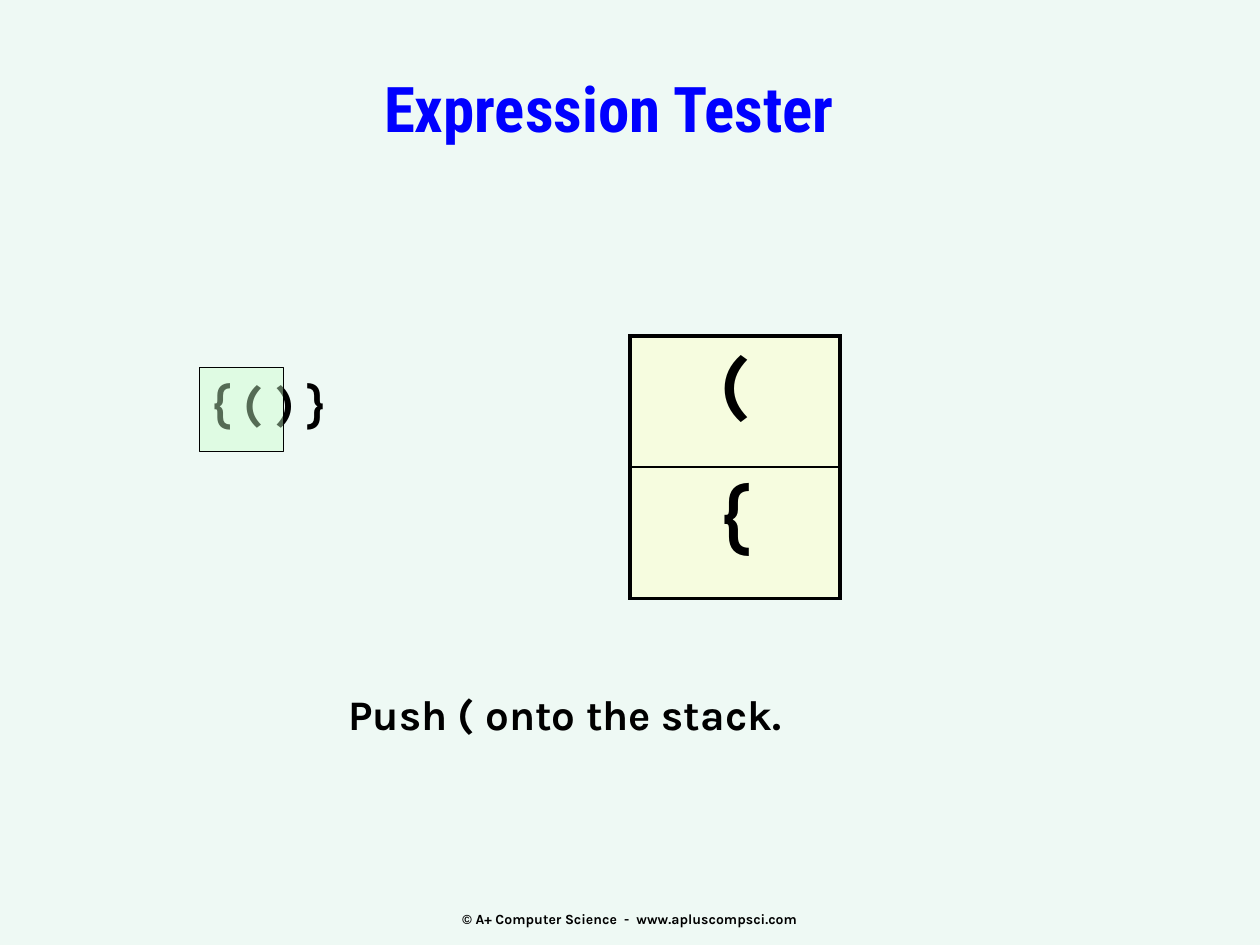
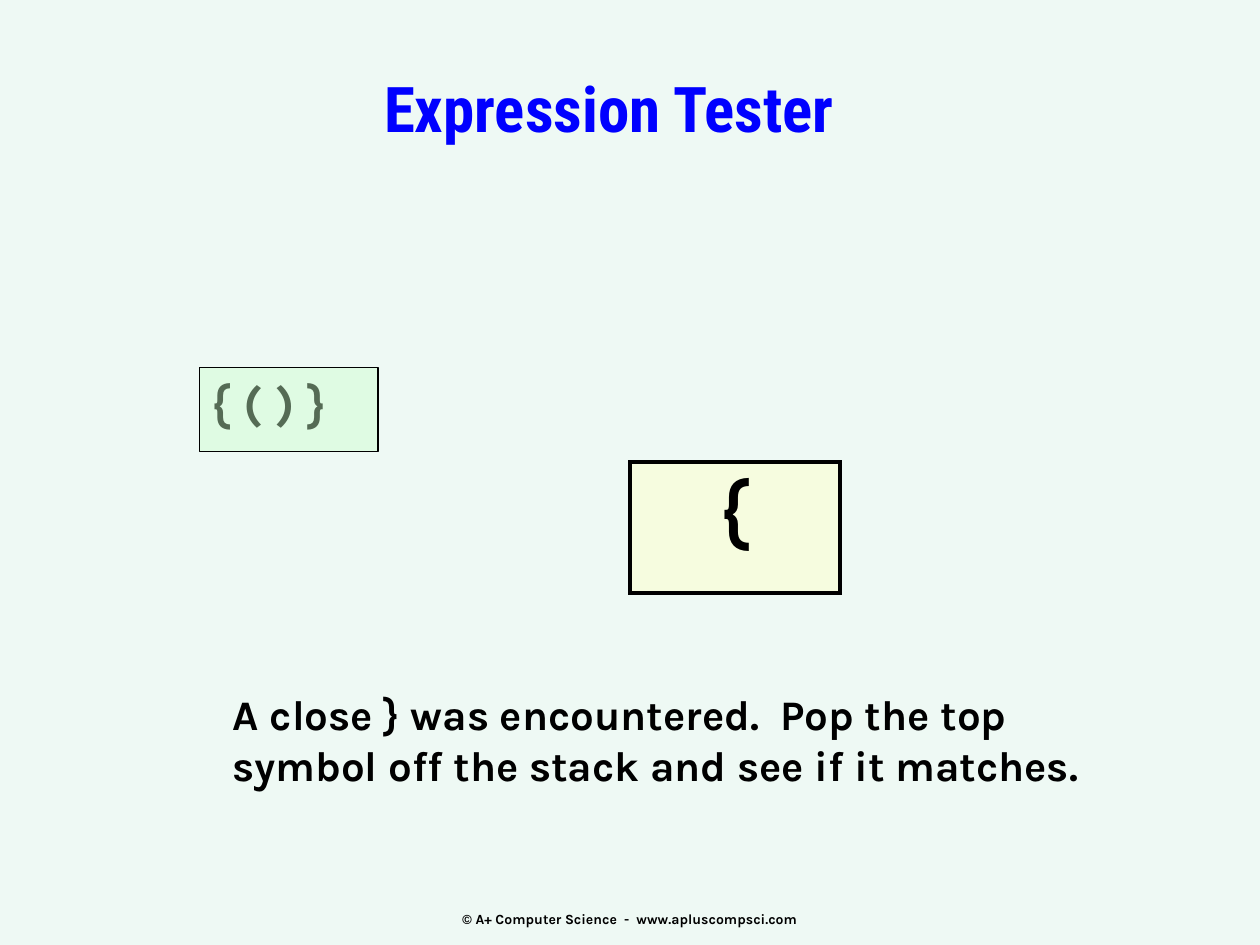
from lxml import etree
from pptx import Presentation
from pptx.dml.color import RGBColor
from pptx.enum.shapes import MSO_SHAPE
from pptx.enum.text import MSO_ANCHOR, PP_ALIGN
from pptx.oxml.ns import qn
from pptx.util import Pt

LEFT, CENTER = PP_ALIGN.LEFT, PP_ALIGN.CENTER
MIDDLE, TOP = MSO_ANCHOR.MIDDLE, MSO_ANCHOR.TOP
RECT = MSO_SHAPE.RECTANGLE

BODY_FONT, TITLE_FONT = "Karla", "Roboto Condensed"
BACKGROUND, INK, BLUE = "EEF9F4", "000000", "0000FF"
TITLE_EDGE, GREEN, YELLOW = "CCFFFF", "CCFFCC", "FFFFCC"

TITLE = "Expression Tester"
FOOTER = "© A+ Computer Science  -  www.apluscompsci.com"
EXPRESSION = "{ ( ) }"
STEPS = [
    {"read_width": 48, "stack": ["(", "{"], "stack_top": 192,
     "note": ["Push ( onto the stack."], "note_box": (192, 390, 294, 36)},
    {"read_width": 102, "stack": ["{"], "stack_top": 264,
     "note": ["A close } was encountered.  Pop the top",
              "symbol off the stack and see if it matches."],
     "note_box": (126, 390, 528, 65)},
]
EXPRESSION_LEFT, EXPRESSION_TOP = 114, 210
STACK_LEFT, STACK_WIDTH, CELL_HEIGHT = 360, 120, 75
OUTER_LINE, INNER_LINE = 2.25, 1


def color(hex_code):
    return RGBColor.from_string(hex_code)


def pts(*lengths):
    return [Pt(n) for n in lengths]


def fill_solid(fill, hex_code, opacity):
    fill.solid()
    fill.fore_color.rgb = color(hex_code)
    clr = fill._xPr.find(qn("a:solidFill"))[0]
    etree.SubElement(clr, qn("a:alpha"), val=str(opacity * 1000))


def line_xml(tag, hex_code, width):
    ln = etree.Element(qn(tag), w=str(Pt(width)))
    solid = etree.SubElement(ln, qn("a:solidFill"))
    etree.SubElement(solid, qn("a:srgbClr"), val=hex_code)
    return ln


def write(tf, lines, size, align=LEFT, font=BODY_FONT, hex_code=INK):
    p = tf.paragraphs[0]
    p.alignment = align
    for i, line in enumerate(lines):
        if i:
            p.add_line_break()
        r = p.add_run()
        r.text = line
        r.font.name, r.font.size, r.font.bold = font, Pt(size), True
        r.font.color.rgb = color(hex_code)
    return r


def add_text(s, box, lines, size, wrap=True, anchor=TOP, **style):
    tf = s.shapes.add_textbox(*pts(*box)).text_frame
    tf.word_wrap = wrap
    tf.vertical_anchor = anchor
    return write(tf, lines, size, **style)


def add_title(s):
    r = add_text(s, (90, 36, 516, 60), [TITLE], 36, wrap=False,
                 align=CENTER, font=TITLE_FONT, hex_code=BLUE)
    r.font._element.insert(0, line_xml("a:ln", TITLE_EDGE, 0.75))


def add_read_marker(s, width):
    sp = s.shapes.add_shape(RECT, *pts(EXPRESSION_LEFT, EXPRESSION_TOP, width, 48))
    sp.shadow.inherit = False
    fill_solid(sp.fill, GREEN, 42)
    sp.line.color.rgb = color(INK)
    sp.line.width = Pt(0.75)


def add_stack(s, symbols, top):
    count = len(symbols)
    table = s.shapes.add_table(
        count, 1, *pts(STACK_LEFT, top, STACK_WIDTH, CELL_HEIGHT * count)).table
    table.first_row = table.horz_banding = False
    for i, symbol in enumerate(symbols):
        table.rows[i].height = Pt(CELL_HEIGHT)
        cell = table.cell(i, 0)
        write(cell.text_frame, [symbol], 44, align=CENTER)
        tc_pr = cell._tc.get_or_add_tcPr()
        edges = {"a:lnL": OUTER_LINE, "a:lnR": OUTER_LINE,
                 "a:lnT": INNER_LINE if i else OUTER_LINE,
                 "a:lnB": INNER_LINE if i < count - 1 else OUTER_LINE}
        for tag, width in edges.items():
            tc_pr.append(line_xml(tag, INK, width))
        fill_solid(cell.fill, YELLOW, 50)


def add_step(prs, step):
    s = prs.slides.add_slide(prs.slide_layouts[6])
    s.background.fill.solid()
    s.background.fill.fore_color.rgb = color(BACKGROUND)
    add_text(s, (246, 515, 228, 20), [FOOTER], 8, wrap=False,
             anchor=MIDDLE, align=CENTER)
    add_text(s, (EXPRESSION_LEFT, EXPRESSION_TOP, 100, 74), [EXPRESSION], 28)
    add_text(s, step["note_box"], step["note"], 24)
    add_title(s)
    add_read_marker(s, step["read_width"])
    add_stack(s, step["stack"], step["stack_top"])


def main():
    prs = Presentation()
    prs.slide_width, prs.slide_height = pts(720, 540)
    for step in STEPS:
        add_step(prs, step)
    prs.save("out.pptx")


if __name__ == "__main__":
    main()
